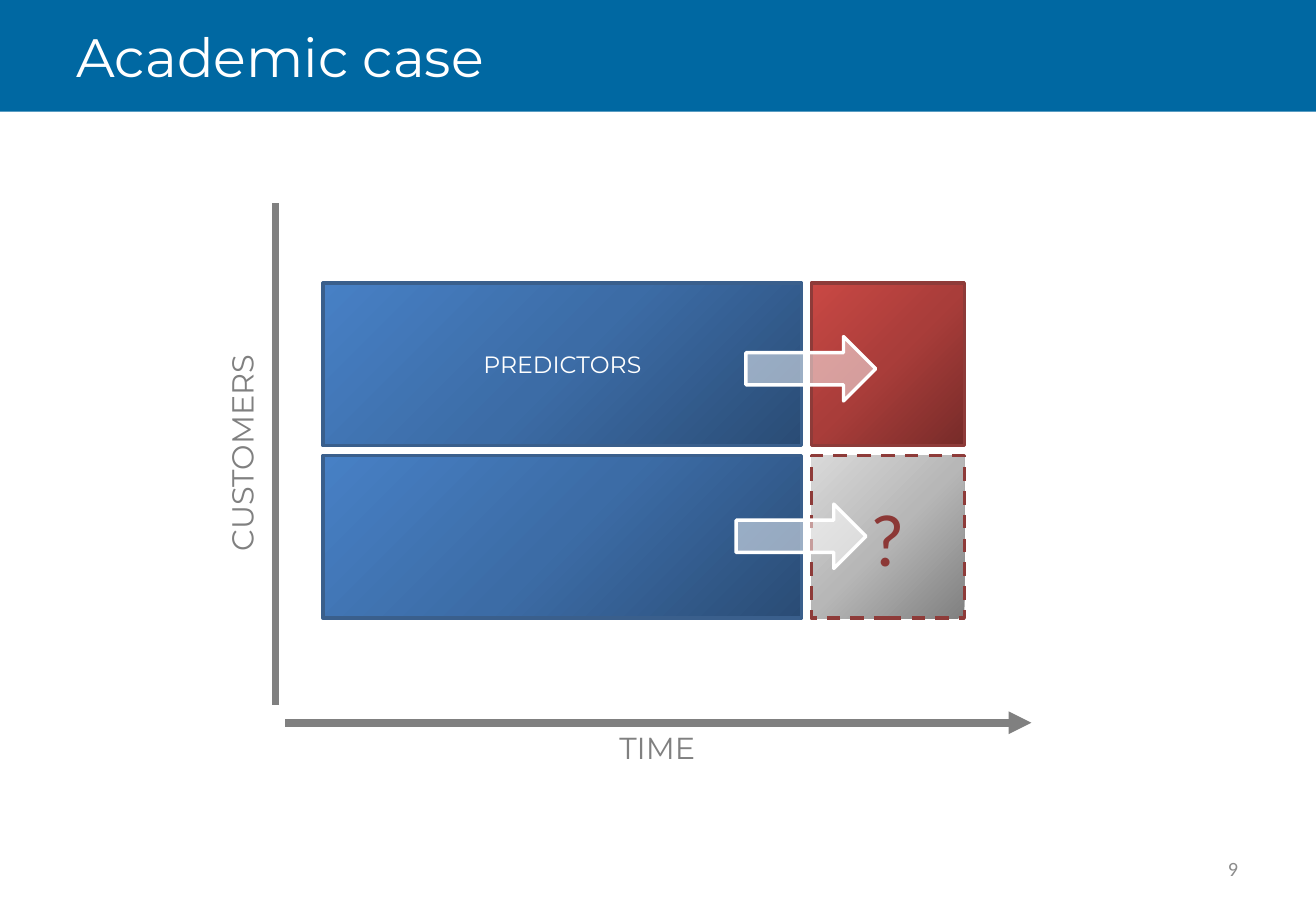
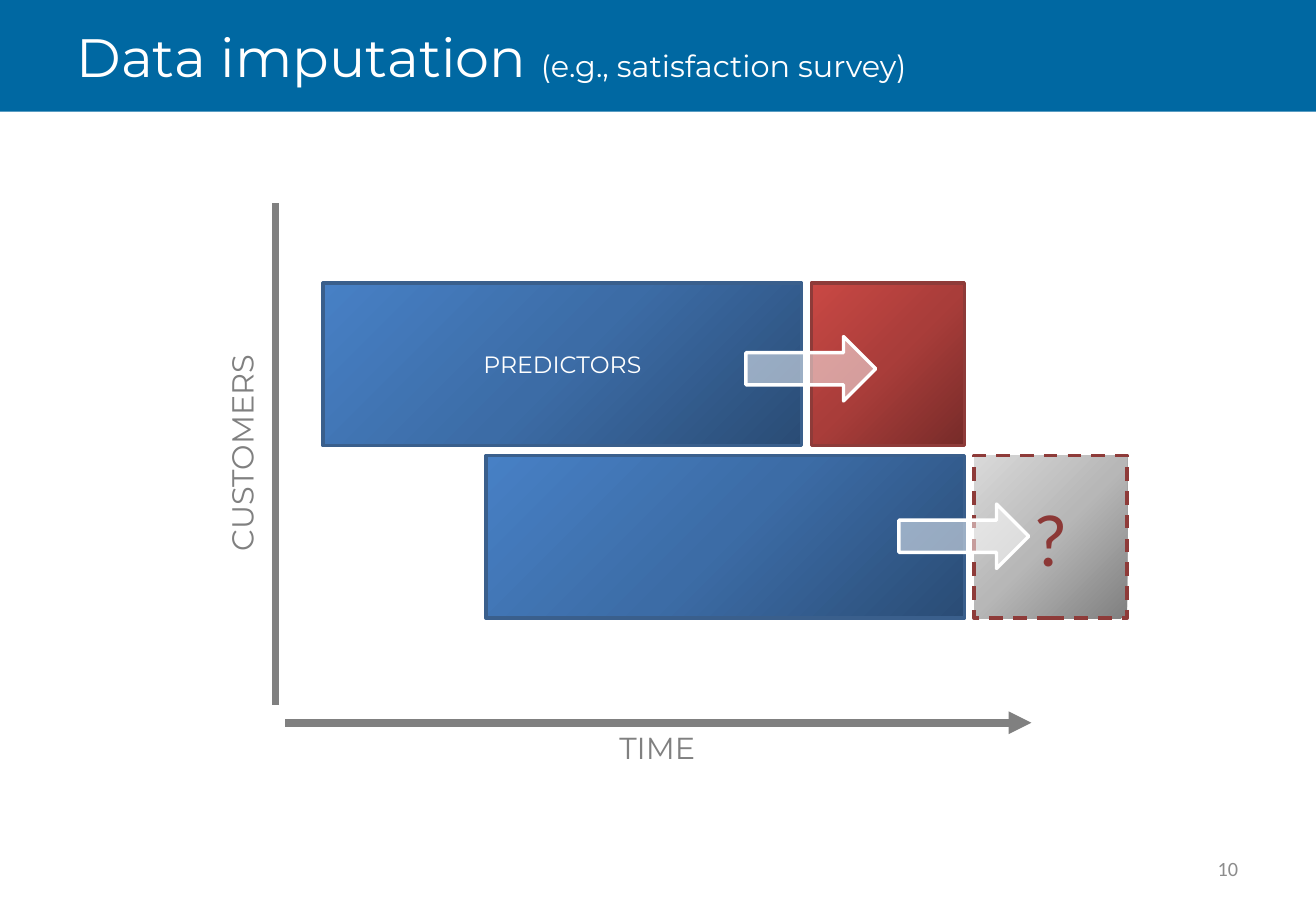
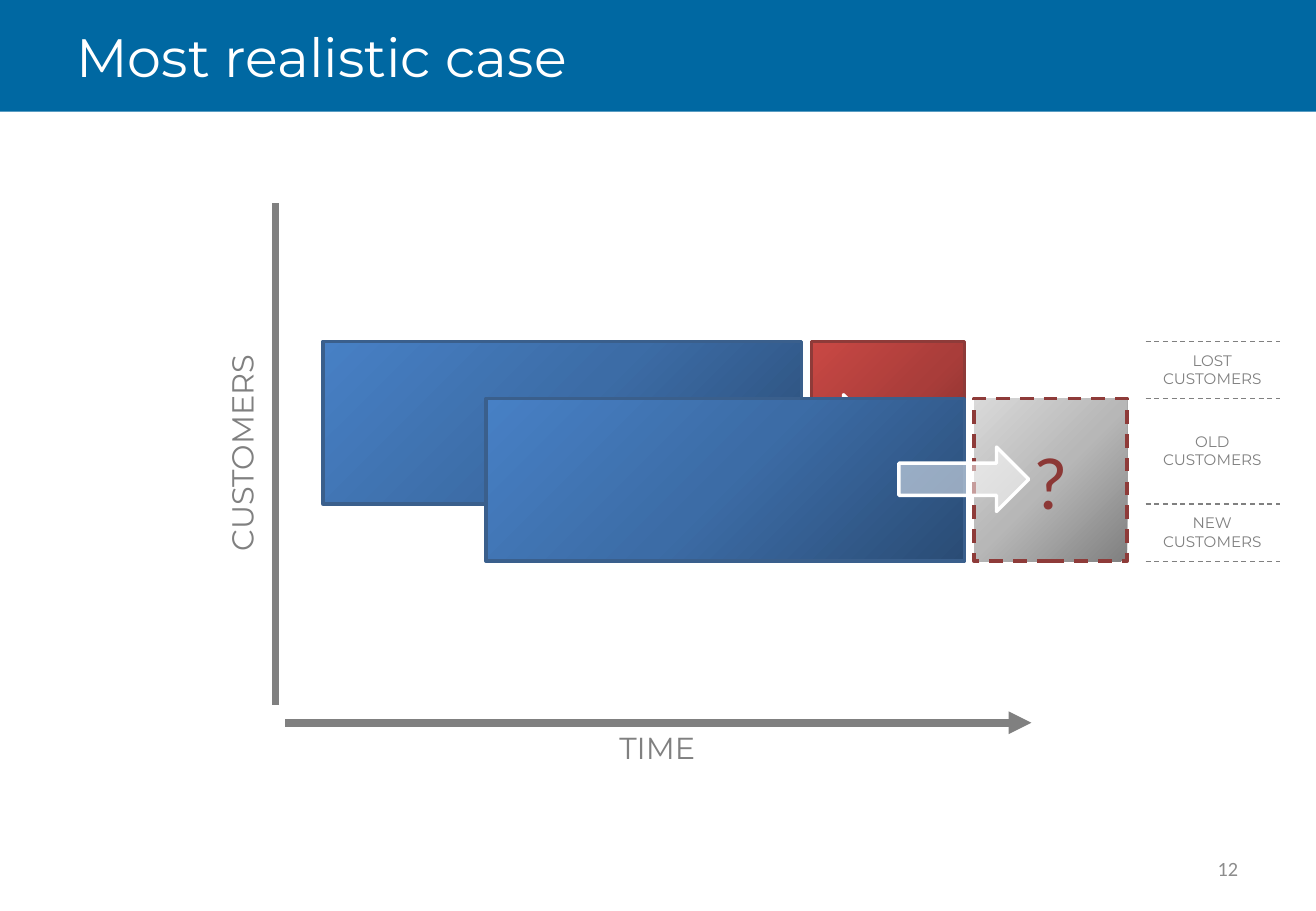
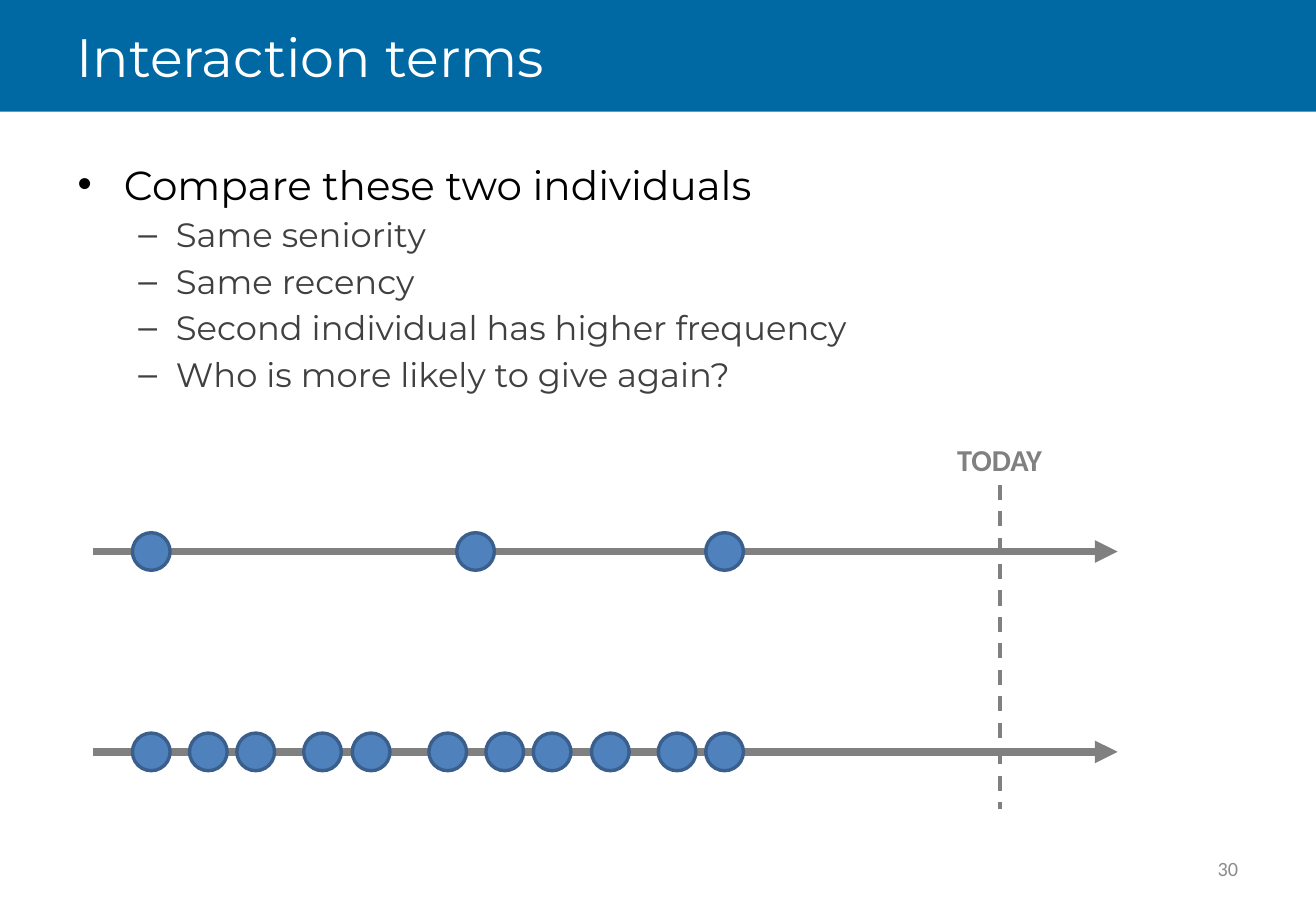
from lxml import etree
from pptx import Presentation
from pptx.dml.color import RGBColor
from pptx.enum.dml import MSO_LINE
from pptx.enum.shapes import MSO_CONNECTOR, MSO_SHAPE
from pptx.enum.text import MSO_ANCHOR, PP_ALIGN
from pptx.oxml.ns import qn
from pptx.util import Pt

RECT, ARROW, OVAL = MSO_SHAPE.RECTANGLE, MSO_SHAPE.RIGHT_ARROW, MSO_SHAPE.OVAL
STRAIGHT, DASH = MSO_CONNECTOR.STRAIGHT, MSO_LINE.DASH
LEFT, CENTER, RIGHT = PP_ALIGN.LEFT, PP_ALIGN.CENTER, PP_ALIGN.RIGHT
TOP, MIDDLE = MSO_ANCHOR.TOP, MSO_ANCHOR.MIDDLE

WIDTH, HEIGHT, BAND_HEIGHT = 780, 540, 66.2
HEAD_FONT, PLAIN_FONT = "Montserrat", "Calibri"
BAND, WHITE, BLACK = "0068A2", "FFFFFF", "000000"
GRAY, DARK_GRAY, PAGE_GRAY = "808080", "404040", "8C8C8C"
DOT_BLUE, BLUE_EDGE, RED_EDGE, QUESTION_RED = "4F81BD", "3A5F8C", "8E3B39", "8C3836"
BLUES = ["2A4C75", "3C6CA6", "4780C5"]
REDS = ["772B29", "A93D3A", "C94844"]
GRAYS = ["808080", "B7B7B7", "D9D9D9"]

BAR_LEFT, LATER_LEFT = 191.5, 288
BAR_WIDTH, BAR_HEIGHT = 283.7, 96.5
TARGET_OFFSET, TARGET_WIDTH = 289.4, 90.7
DOT_SIZE = 22.3


def rgb(color):
    return RGBColor.from_string(color)


def style_font(font, size, color, name=HEAD_FONT, bold=False):
    font.name, font.size, font.bold = name, Pt(size), bold
    font.color.rgb = rgb(color)


class Deck:
    def __init__(self):
        self.prs = Presentation()
        self.prs.slide_width, self.prs.slide_height = Pt(WIDTH), Pt(HEIGHT)
        self.slide = None

    def new_slide(self, title, page, subtitle=None):
        self.slide = self.prs.slides.add_slide(self.prs.slide_layouts[6])
        self.shape(RECT, 0, 0, WIDTH, BAND_HEIGHT, BAND)
        heading = self.text(title, 38.2, 0, 702, BAND_HEIGHT, 32, WHITE,
                            anchor=MIDDLE, wrap=True)
        if subtitle:
            run = heading.add_run()
            run.text = subtitle
            run.font.size = Pt(18)
        self.text(page, 558.7, 500.4, 182.2, 28.8, 12, PAGE_GRAY, RIGHT,
                  MIDDLE, PLAIN_FONT, wrap=True)

    def text(self, words, left, top, width, height, size, color, align=LEFT,
             anchor=TOP, font=HEAD_FONT, bold=False, wrap=False, rotation=0):
        box = self.slide.shapes.add_textbox(Pt(left), Pt(top), Pt(width), Pt(height))
        box.rotation = rotation
        frame = box.text_frame
        frame.word_wrap, frame.vertical_anchor = wrap, anchor
        paragraph = frame.paragraphs[0]
        paragraph.text, paragraph.alignment = words, align
        style_font(paragraph.font, size, color, font, bold)
        return paragraph

    def bullets(self, items, left, top, width, height):
        box = self.slide.shapes.add_textbox(Pt(left), Pt(top), Pt(width), Pt(height))
        frame = box.text_frame
        frame.word_wrap, frame.vertical_anchor = True, MIDDLE
        levels = [("•", 27.4, 27.4, 24, BLACK), ("–", 58.3, 22.3, 20, DARK_GRAY)]
        for index, (level, words) in enumerate(items):
            mark, margin, hang, size, color = levels[level]
            paragraph = frame.add_paragraph() if index else frame.paragraphs[0]
            paragraph.text, paragraph.level = words, level
            if index:
                paragraph.space_before = Pt(3.5)
            props = paragraph._p.get_or_add_pPr()
            props.set("marL", str(Pt(margin)))
            props.set("indent", str(-Pt(hang)))
            etree.SubElement(props, qn("a:buFont"), typeface="Arial")
            etree.SubElement(props, qn("a:buChar"), char=mark)
            style_font(paragraph.font, size, color)

    def shape(self, kind, left, top, width, height, fill, edge=None, dash=None, alpha=None):
        shape = self.slide.shapes.add_shape(kind, Pt(left), Pt(top), Pt(width), Pt(height))
        shape.shadow.inherit = False
        if isinstance(fill, list):
            self.gradient(shape, fill)
        else:
            shape.fill.solid()
            shape.fill.fore_color.rgb = rgb(fill)
        if alpha:
            tint = shape._element.spPr.find(".//" + qn("a:srgbClr"))
            etree.SubElement(tint, qn("a:alpha"), val=str(alpha * 1000))
        if edge:
            shape.line.color.rgb = rgb(edge)
            shape.line.width = Pt(2)
            if dash:
                shape.line.dash_style = dash
        else:
            shape.line.fill.background()
        return shape

    def gradient(self, shape, colors):
        shape.fill.gradient()
        grad = shape._element.spPr.find(qn("a:gradFill"))
        del grad[:]
        stops = etree.SubElement(grad, qn("a:gsLst"))
        for index, color in enumerate(colors):
            stop = etree.SubElement(stops, qn("a:gs"), pos=str(index * 50000))
            etree.SubElement(stop, qn("a:srgbClr"), val=color)
        if colors is REDS:
            circle = etree.SubElement(grad, qn("a:path"), path="circle")
            etree.SubElement(circle, qn("a:fillToRect"), l="100000", t="100000")
        else:
            etree.SubElement(grad, qn("a:lin"), ang="13500000", scaled="0")

    def label(self, shape, words, size, color, font=HEAD_FONT):
        shape.text_frame.vertical_anchor = MIDDLE
        paragraph = shape.text_frame.paragraphs[0]
        paragraph.text, paragraph.alignment = words, CENTER
        style_font(paragraph.font, size, color, font)

    def line(self, x1, y1, x2, y2, width, dash=None, arrow=False):
        line = self.slide.shapes.add_connector(STRAIGHT, Pt(x1), Pt(y1), Pt(x2), Pt(y2))
        line.line.color.rgb = rgb(GRAY)
        line.line.width = Pt(width)
        if dash:
            line.line.dash_style = dash
        props = line._element.spPr
        if arrow:
            etree.SubElement(props.find(qn("a:ln")), qn("a:tailEnd"), type="triangle")
        etree.SubElement(props, qn("a:effectLst"))

    def axes(self):
        self.line(169.2, 428.4, 611.3, 428.4, 4.5, arrow=True)
        self.text("TIME", 360, 428.4, 60.5, 28.8, 18, GRAY)
        self.line(163.4, 417.6, 163.4, 120.2, 4.5)
        self.text("CUSTOMERS", 77, 254.2, 132.5, 28.8, 18, GRAY, CENTER, rotation=270)

    def prediction_row(self, left, top, known, caption=None):
        bar = self.shape(RECT, left, top, BAR_WIDTH, BAR_HEIGHT, BLUES, BLUE_EDGE)
        if caption:
            self.label(bar, caption, 14, WHITE)
        target = self.shape(RECT, left + TARGET_OFFSET, top, TARGET_WIDTH, BAR_HEIGHT,
                            REDS if known else GRAYS, RED_EDGE, None if known else DASH)
        if not known:
            self.label(target, "?", 44, QUESTION_RED, PLAIN_FONT)
        shift, drop = (250.6, 31.7) if known else (244.8, 28.8)
        self.shape(ARROW, left + shift, top + drop, 77, 38.2, WHITE, WHITE, alpha=50)

    def customer_segments(self, edges, names):
        for edge in edges:
            self.line(679, edge, 758.9, edge, 0.75, DASH)
        for name, upper, lower in zip(names, edges, edges[1:]):
            self.text(name + "\vCUSTOMERS", 681.8, (upper + lower) / 2 - 14.8, 73.4, 28.8,
                      9, GRAY, CENTER)

    def timeline(self, y, gifts):
        self.line(55.4, y, 662.4, y, 4.5, arrow=True)
        for left in gifts:
            self.shape(OVAL, left, y - DOT_SIZE / 2, DOT_SIZE, DOT_SIZE, DOT_BLUE, BLUE_EDGE)


def main():
    deck = Deck()
    cases = [("Academic case", "9", None, BAR_LEFT),
             ("Data imputation ", "10", "(e.g., satisfaction survey)", LATER_LEFT)]
    for title, page, subtitle, unknown_left in cases:
        deck.new_slide(title, page, subtitle)
        deck.axes()
        deck.prediction_row(BAR_LEFT, 167.8, True, "PREDICTORS")
        deck.prediction_row(unknown_left, 270, False)

    deck.new_slide("Most realistic case", "12")
    deck.axes()
    past_top, present_top = 202.3, 236.2
    deck.prediction_row(BAR_LEFT, past_top, True)
    deck.prediction_row(LATER_LEFT, present_top, False)
    deck.customer_segments(
        [past_top, present_top, past_top + BAR_HEIGHT, present_top + BAR_HEIGHT],
        ["LOST", "OLD", "NEW"])

    deck.new_slide("Interaction terms", "30")
    deck.bullets([(0, "Compare these two individuals"),
                  (1, "Same seniority"),
                  (1, "Same recency"),
                  (1, "Second individual has higher frequency"),
                  (1, "Who is more likely to give again?")], 38.9, 79, 702, 170)
    deck.timeline(326.9, [78.5, 270.7, 418.3])
    deck.timeline(445.7, [78.5, 112.3, 140.4, 180, 208.8, 254.2, 288, 316.1,
                          350.6, 390.2, 418.3])
    deck.line(592.6, 287.3, 592.6, 479.5, 2.25, DASH)
    deck.text("TODAY", 560.2, 257.8, 65.5, 28.8, 18, GRAY, font=PLAIN_FONT, bold=True)
    deck.prs.save("out.pptx")


if __name__ == "__main__":
    main()
